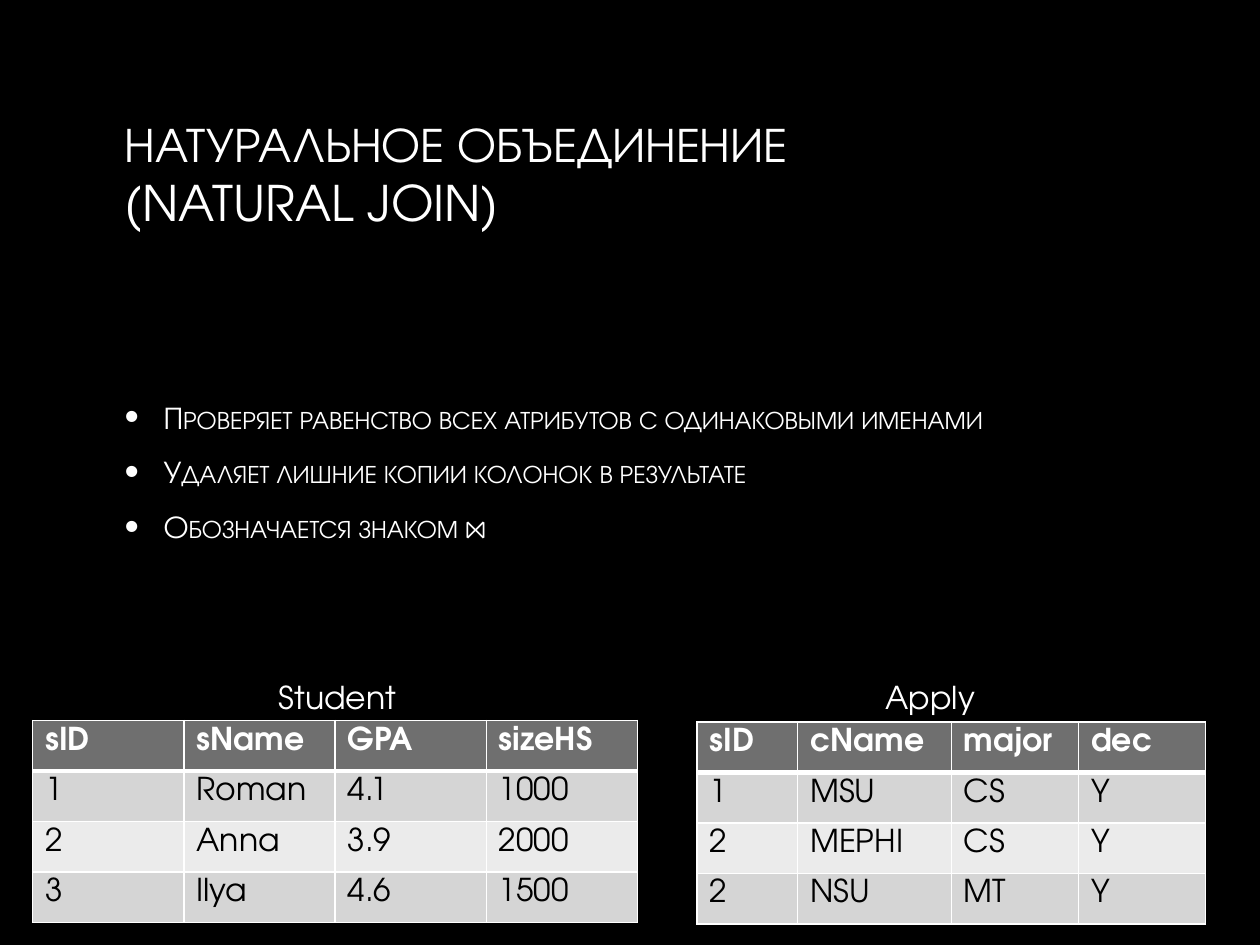
from dataclasses import dataclass

from lxml import etree
from pptx import Presentation
from pptx.dml.color import RGBColor
from pptx.enum.text import MSO_ANCHOR, MSO_AUTO_SIZE
from pptx.oxml.ns import qn
from pptx.util import Inches, Pt

MIDDLE = MSO_ANCHOR.MIDDLE
GROW = MSO_AUTO_SIZE.SHAPE_TO_FIT_TEXT


@dataclass(frozen=True)
class Theme:
    """Colours, fonts and type sizes of the slide."""
    font: str = "TeX Gyre Adventor"
    symbol_font: str = "Cambria"
    title_size: int = 28
    text_size: int = 18
    background: str = "000000"
    light: str = "FFFFFF"
    fade: str = "BFBFBF"
    dark: str = "000000"
    header: str = "6F6F6F"
    bands: tuple = ("D5D5D5", "EBEBEB")


THEME = Theme()
BULLETS = [
    ["Проверяет равенство всех атрибутов с одинаковыми именами"],
    ["Удаляет лишние копии колонок в результате"],
    ["Обозначается знаком ", "⨝"],
]
STUDENT = [
    ["sID", "sName", "GPA", "sizeHS"],
    ["1", "Roman", "4.1", "1000"],
    ["2", "Anna", "3.9", "2000"],
    ["3", "Ilya", "4.6", "1500"],
]
APPLY = [
    ["sID", "cName", "major", "dec"],
    ["1", "MSU", "CS", "Y"],
    ["2", "MEPHI", "CS", "Y"],
    ["2", "NSU", "MT", "Y"],
]


def style_span(span, size, color=THEME.light, bold=False, font=THEME.font):
    """Set the font, size, weight and colour of a run."""
    span.font.name = font
    span.font.size = Pt(size)
    span.font.bold = bold
    span.font.color.rgb = RGBColor.from_string(color)


def fade_span(span):
    """Fill a run with the vertical theme gradient."""
    fill = span.font.fill
    fill.gradient()
    fill.gradient_angle = 270
    for stop, color in zip(fill.gradient_stops, (THEME.light, THEME.fade)):
        stop.color.rgb = RGBColor.from_string(color)


def add_box(page, left, top, width, height):
    """Add a text box and return its text frame."""
    box = page.shapes.add_textbox(
        Inches(left), Inches(top), Inches(width), Inches(height))
    return box.text_frame


def add_title(page, text):
    """Add the slide title."""
    frame = add_box(page, 0.89, 0.65, 8.21, 1.44)
    frame.word_wrap = True
    frame.vertical_anchor = MIDDLE
    para = frame.paragraphs[0]
    para.text = text
    for span in para.runs:
        style_span(span, THEME.title_size)
        fade_span(span)


def add_bullet_mark(para):
    """Give a paragraph a hanging round bullet."""
    props = para._p.get_or_add_pPr()
    props.set("marL", str(Inches(0.31)))
    props.set("indent", str(Inches(-0.31)))
    color = etree.SubElement(props, qn("a:buClr"))
    etree.SubElement(color, qn("a:srgbClr"), val=THEME.light)
    etree.SubElement(props, qn("a:buSzPct"), val="130000")
    etree.SubElement(props, qn("a:buFont"), typeface="Arial")
    etree.SubElement(props, qn("a:buChar"), char="•")


def add_bullets(page, items):
    """Add the bulleted list in small capitals."""
    frame = add_box(page, 0.89, 2.09, 8.21, 3.3)
    frame.word_wrap = True
    frame.vertical_anchor = MIDDLE
    for index, texts in enumerate(items):
        para = frame.add_paragraph() if index else frame.paragraphs[0]
        para.space_before = Pt(3.6)
        para.space_after = Pt(6)
        add_bullet_mark(para)
        for text, font in zip(texts, (THEME.font, THEME.symbol_font)):
            span = para.add_run()
            span.text = text
            style_span(span, THEME.text_size, font=font)
            fade_span(span)
            span.font._element.set("cap", "small")


def add_label(page, text, left, width):
    """Add the name above a table."""
    frame = add_box(page, left, 5.33, width, 0.4)
    frame.word_wrap = False
    frame.auto_size = GROW
    frame.text = text
    style_span(frame.paragraphs[0].runs[0], THEME.text_size)


def add_borders(cell, top=1, bottom=1):
    """Draw the four borders of a cell."""
    props = cell._tc.get_or_add_tcPr()
    sides = (("a:lnL", 1), ("a:lnR", 1), ("a:lnT", top), ("a:lnB", bottom))
    for index, (tag, width) in enumerate(sides):
        line = etree.Element(qn(tag), w=str(Pt(width)))
        fill = etree.SubElement(line, qn("a:solidFill"))
        etree.SubElement(fill, qn("a:srgbClr"), val=THEME.light)
        props.insert(index, line)


def fill_cell(cell, text, row):
    """Write and colour one cell by its row."""
    is_header = row == 0
    cell.text = text
    color = THEME.light if is_header else THEME.dark
    style_span(cell.text_frame.paragraphs[0].runs[0], THEME.text_size, color, is_header)
    cell.fill.solid()
    band = THEME.header if is_header else THEME.bands[(row - 1) % 2]
    cell.fill.fore_color.rgb = RGBColor.from_string(band)
    add_borders(cell, top=3 if row == 1 else 1, bottom=3 if is_header else 1)


def add_data_table(page, data, left, top, widths, row_height):
    """Add a table with a header row and banded body."""
    table = page.shapes.add_table(
        len(data), len(widths), Inches(left), Inches(top),
        Inches(sum(widths)), Inches(row_height * len(data))).table
    for column, width in zip(table.columns, widths):
        column.width = Inches(width)
    for row, texts in enumerate(data):
        for column, text in enumerate(texts):
            fill_cell(table.cell(row, column), text, row)


def main():
    """Build and save the slide."""
    deck = Presentation()
    deck.slide_width, deck.slide_height = Inches(10), Inches(7.5)
    page = deck.slides.add_slide(deck.slide_layouts[6])
    page.background.fill.solid()
    page.background.fill.fore_color.rgb = RGBColor.from_string(THEME.background)
    add_title(page, "НАТУРАЛЬНОЕ ОБЪЕДИНЕНИЕ\n(NATURAL JOIN)")
    add_data_table(page, STUDENT, 0.26, 5.72, [1.2] * 4, 0.38)
    add_label(page, "Student", 2.11, 1.15)
    add_data_table(page, APPLY, 5.53, 5.73, [0.8, 1.22, 1.01, 1.01], 0.4)
    add_label(page, "Apply", 6.93, 0.92)
    add_bullets(page, BULLETS)
    deck.save("out.pptx")


if __name__ == "__main__":
    main()
